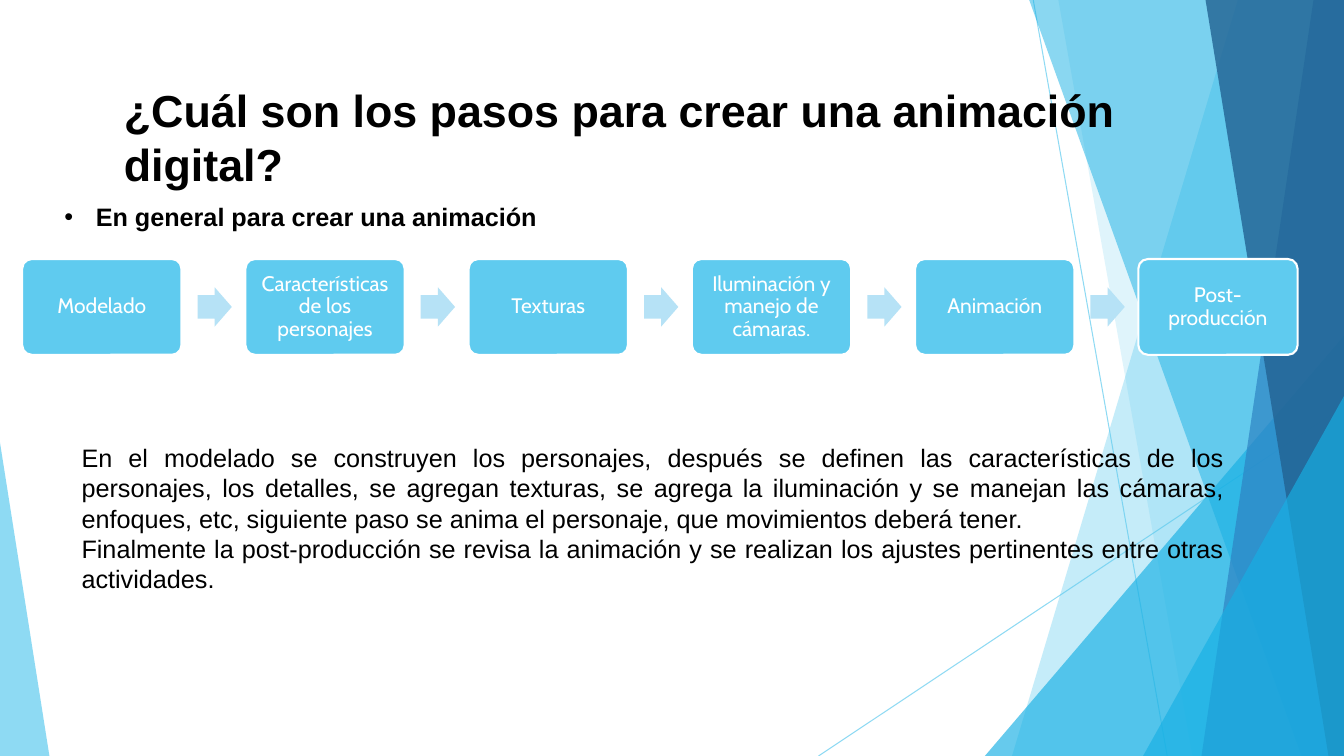
from dataclasses import dataclass

from pptx import Presentation
from pptx.dml.color import RGBColor
from pptx.enum.shapes import MSO_CONNECTOR, MSO_SHAPE
from pptx.enum.text import MSO_ANCHOR, MSO_AUTO_SIZE, PP_ALIGN
from pptx.oxml.ns import qn
from pptx.oxml.xmlchemy import OxmlElement
from pptx.util import Emu, Inches, Pt

SKY = RGBColor(0x5F, 0xCB, 0xEF)
CYAN = RGBColor(0x17, 0xB0, 0xE4)
BLUE = RGBColor(0x2E, 0x83, 0xC3)
NAVY = RGBColor(0x22, 0x62, 0x92)
PALE = RGBColor(0xB6, 0xE2, 0xF6)
WHITE = RGBColor(0xFF, 0xFF, 0xFF)
BLACK = RGBColor(0, 0, 0)
WIDTH, HEIGHT = Inches(13.333), Inches(7.5)


# Positions and sizes are percentages of the slide's width and height
def across(share: float) -> Emu:
    return Emu(round(WIDTH * share / 100))


def down(share: float) -> Emu:
    return Emu(round(HEIGHT * share / 100))


@dataclass
class Ray:
    x1: float
    y1: float
    x2: float
    y2: float


@dataclass
class Facet:
    """Band from a slanted left edge to the slide's right side."""
    top_x: float
    bottom_x: float
    color: RGBColor
    alpha: int


@dataclass
class Corner:
    """Right triangle standing on the slide's bottom edge."""
    x: float
    y: float
    w: float
    apex: float
    color: RGBColor
    alpha: int


RAYS = [Ray(76.88, 0, 86.85, 100), Ray(100, 53.73, 60.9, 100)]
SHARDS = [
    Facet(92.1, 75.3, SKY, 36),
    Facet(78.75, 88.73, SKY, 20),
    Corner(73.28, 44.4, 26.72, 1, CYAN, 66),
    Facet(76.58, 96.83, CYAN, 50),
    Facet(97.73, 89.4, BLUE, 70),
    Facet(89.7, 98.85, NAVY, 80),
    Corner(85.05, 52.4, 14.95, 1, CYAN, 66),
    Corner(0, 58.53, 3.68, 0, SKY, 70),
]
STEPS = ["Modelado", "Características de los personajes", "Texturas",
         "Iluminación y manejo de cámaras.", "Animación", "Post-producción"]
STEP_LEFT, STEP_PITCH, STEP_WIDTH = 1.65, 16.61, 11.85
ARROW_OFFSET = 13.05


def set_alpha(s, alpha: int) -> None:
    for color in s._element.spPr.iter(qn("a:srgbClr")):
        node = OxmlElement("a:alpha")
        node.set("val", str(alpha * 1000))
        color.append(node)


def paint(s, color: RGBColor, alpha: int = 100) -> None:
    s.shadow.inherit = False
    s.fill.solid()
    s.fill.fore_color.rgb = color
    s.line.fill.background()
    if alpha < 100:
        set_alpha(s, alpha)


def add_preset(shapes, kind, x: float, y: float, w: float, h: float, *adjust: float):
    s = shapes.add_shape(kind, across(x), down(y), across(w), down(h))
    for i, value in enumerate(adjust):
        s.adjustments[i] = value
    return s


def add_ray(shapes, ray: Ray) -> None:
    s = shapes.add_connector(MSO_CONNECTOR.STRAIGHT, across(ray.x1), down(ray.y1),
                             across(ray.x2), down(ray.y2))
    s.line.color.rgb = SKY
    s.line.width = Pt(0.75)
    set_alpha(s, 70)
    s._element.spPr.append(OxmlElement("a:effectLst"))


def add_facet(shapes, facet: Facet) -> None:
    builder = shapes.build_freeform(across(facet.top_x), 0)
    builder.add_line_segments([(WIDTH, 0), (WIDTH, HEIGHT),
                               (across(facet.bottom_x), HEIGHT)], close=True)
    paint(builder.convert_to_shape(), facet.color, facet.alpha)


def add_corner(shapes, corner: Corner) -> None:
    s = add_preset(shapes, MSO_SHAPE.ISOSCELES_TRIANGLE, corner.x, corner.y,
                   corner.w, 100 - corner.y, corner.apex)
    paint(s, corner.color, corner.alpha)


def add_bullet(p, indent: Emu) -> None:
    pPr = p._p.get_or_add_pPr()
    pPr.set("marL", str(indent))
    pPr.set("indent", str(-indent))
    font, char = OxmlElement("a:buFont"), OxmlElement("a:buChar")
    font.set("typeface", "Arial")
    char.set("char", "•")
    pPr.extend([font, char])


def write(tf, *texts: str, size: float = 18, font: str = "Arial", color: RGBColor = BLACK,
          bold: bool = False, align=PP_ALIGN.JUSTIFY, spacing: float = 1.0,
          bullet: bool = False) -> None:
    tf.word_wrap = True
    for i, text in enumerate(texts):
        p = tf.add_paragraph() if i else tf.paragraphs[0]
        p.alignment = align
        p.line_spacing = spacing
        if bullet:
            add_bullet(p, across(2.34))
        r = p.add_run()
        r.text = text
        r.font.name, r.font.size, r.font.bold = font, Pt(size), bold
        r.font.color.rgb = color


def add_text(shapes, x: float, y: float, w: float, h: float, *texts: str, **style) -> None:
    tf = shapes.add_textbox(across(x), down(y), across(w), down(h)).text_frame
    write(tf, *texts, **style)
    tf.auto_size = MSO_AUTO_SIZE.SHAPE_TO_FIT_TEXT


def add_step(shapes, x: float, label: str) -> None:
    s = add_preset(shapes, MSO_SHAPE.ROUNDED_RECTANGLE, x, 34.27, STEP_WIDTH, 12.67, 0.1)
    paint(s, SKY)
    s.line.color.rgb = WHITE
    s.line.width = Pt(1.5)
    tf = s.text_frame
    tf.margin_left = tf.margin_right = tf.margin_top = tf.margin_bottom = across(0.45)
    tf.vertical_anchor = MSO_ANCHOR.MIDDLE
    write(tf, label, size=15, font="Cabin", color=WHITE, align=PP_ALIGN.CENTER, spacing=0.9)


def main() -> None:
    prs = Presentation()
    prs.slide_width, prs.slide_height = WIDTH, HEIGHT
    shapes = prs.slides.add_slide(prs.slide_layouts[6]).shapes

    # Background facets
    for ray in RAYS:
        add_ray(shapes, ray)
    for shard in SHARDS:
        if isinstance(shard, Facet):
            add_facet(shapes, shard)
        else:
            add_corner(shapes, shard)

    # Process steps, with an arrow after each but the last
    for i, label in enumerate(STEPS):
        x = STEP_LEFT + i * STEP_PITCH
        add_step(shapes, x, label)
        if i < len(STEPS) - 1:
            paint(add_preset(shapes, MSO_SHAPE.RIGHT_ARROW, x + ARROW_OFFSET, 38,
                             2.55, 5.2, 0.6, 0.5), PALE)

    # Title, lead and explanation
    add_text(shapes, 8.48, 10.27, 85.43, 15.73,
             "¿Cuál son los pasos para crear una animación digital?",
             size=32, bold=True, align=PP_ALIGN.LEFT)
    add_text(shapes, 4.05, 26, 90.08, 5.33,
             "En general para crear una animación", bold=True, bullet=True)
    add_text(shapes, 5.33, 57.87, 86.48, 21.6,
             "En el modelado se construyen los personajes, después se definen las "
             "características de los personajes, los detalles, se agregan texturas, se agrega "
             "la iluminación y se manejan las cámaras, enfoques, etc, siguiente paso se anima "
             "el personaje, que movimientos deberá tener.",
             "Finalmente la post-producción se revisa la animación y se realizan los ajustes "
             "pertinentes entre otras actividades.")

    prs.save("out.pptx")


if __name__ == "__main__":
    main()
